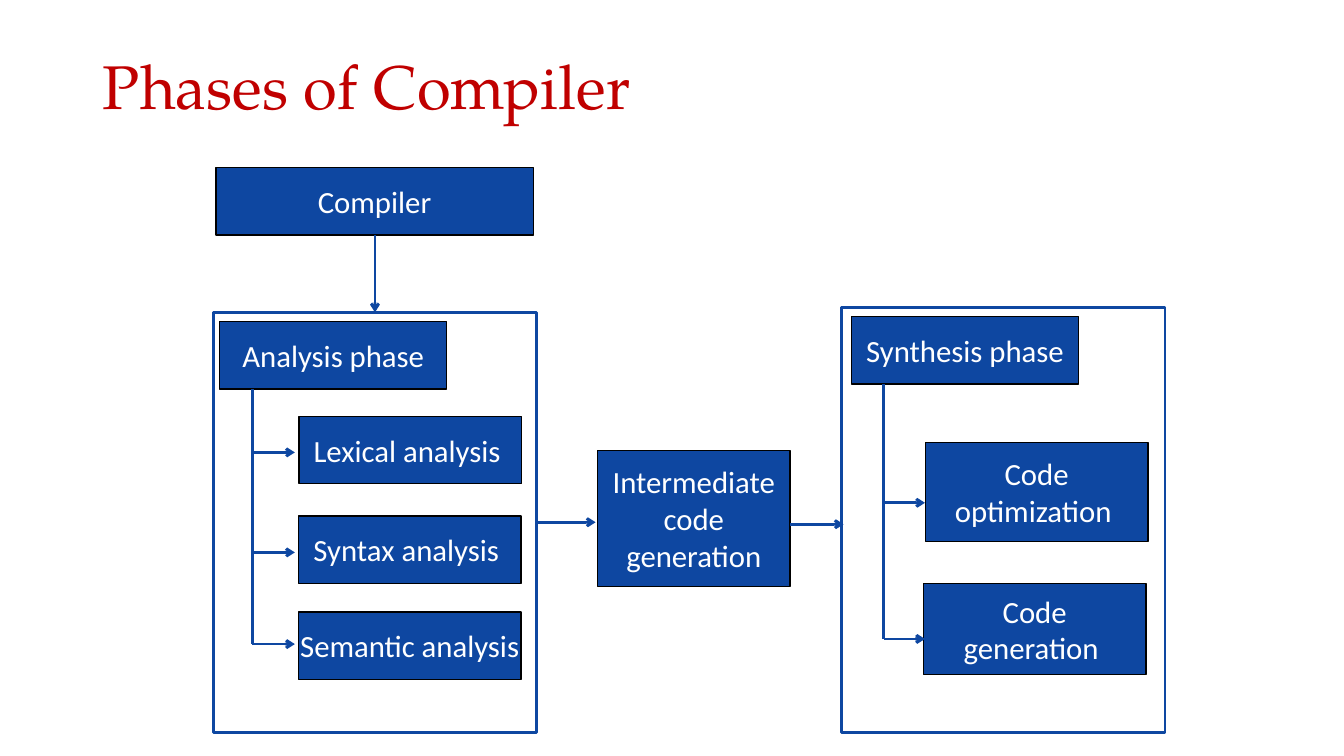
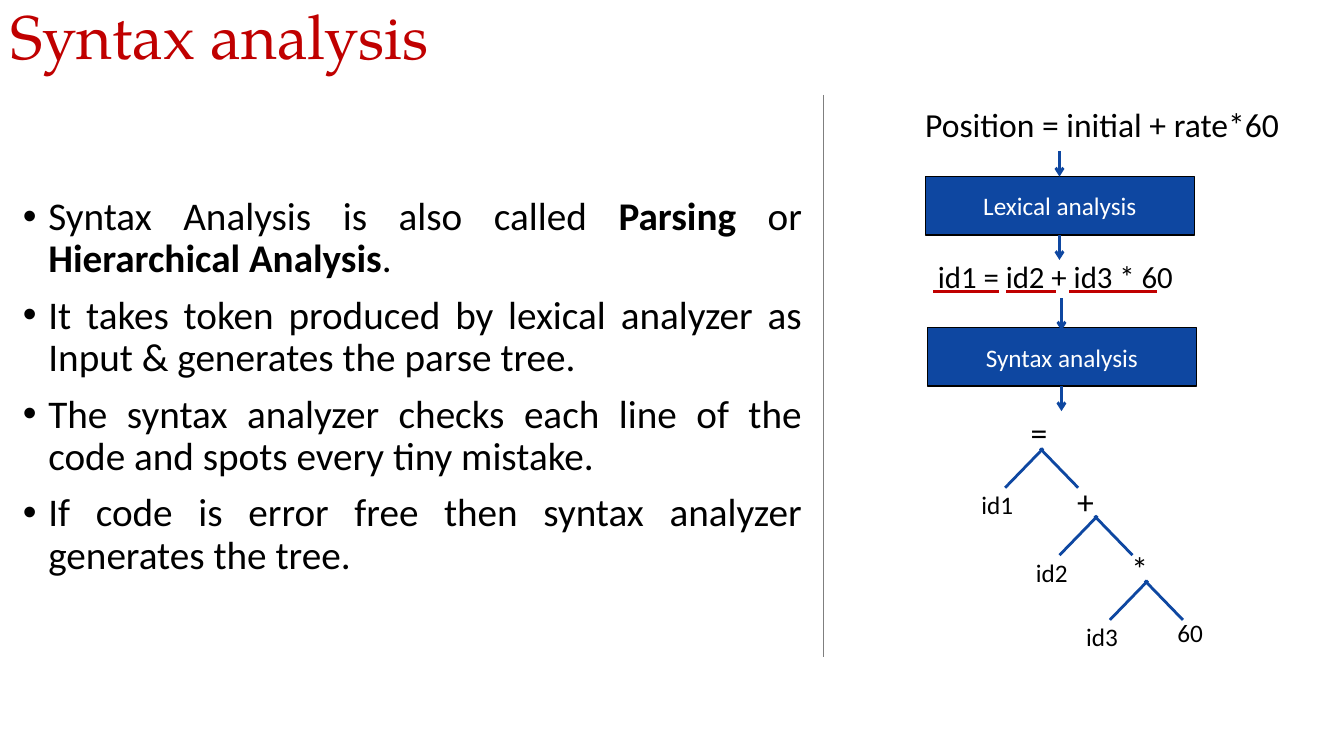
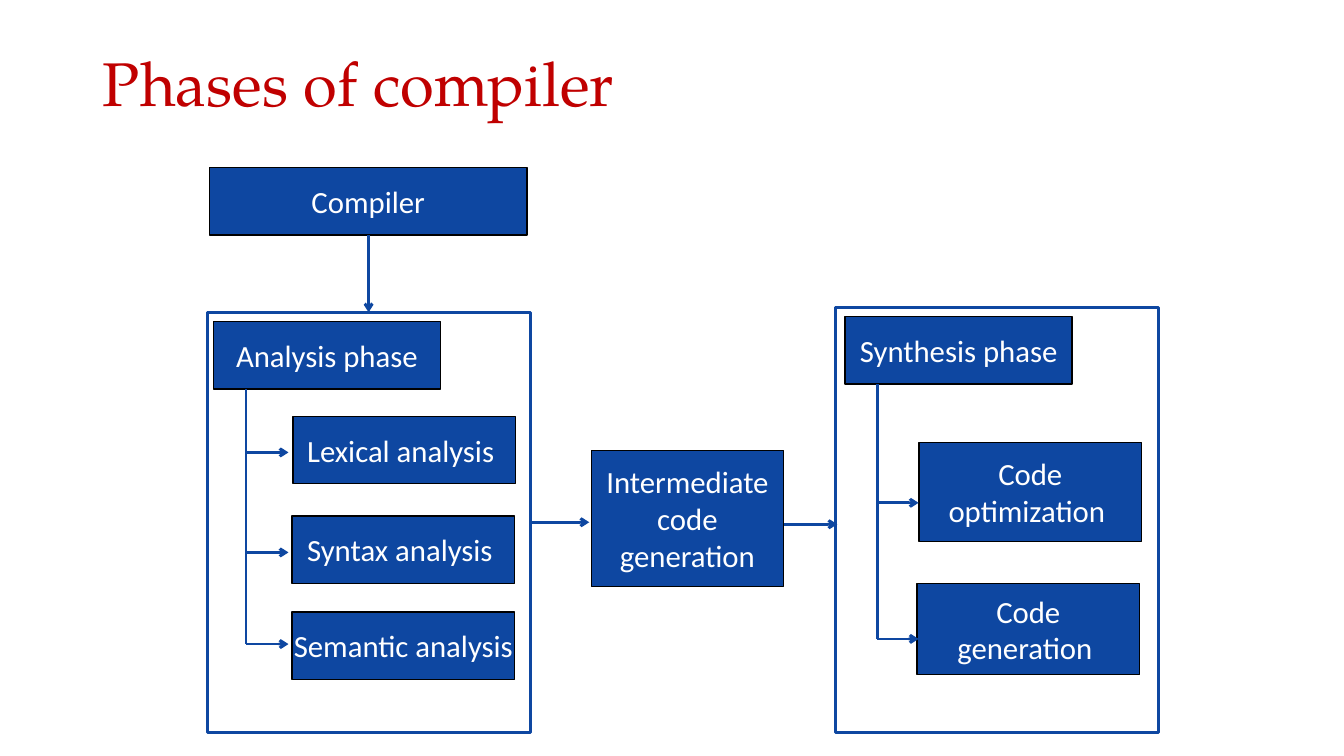
from lxml.etree import SubElement
from pptx import Presentation
from pptx.dml.color import RGBColor
from pptx.enum.shapes import MSO_CONNECTOR, MSO_SHAPE
from pptx.enum.text import MSO_ANCHOR, MSO_AUTO_SIZE, PP_ALIGN
from pptx.oxml.ns import qn
from pptx.util import Cm, Pt

COLORS = {"blue": "0E47A1", "red": "C00000", "black": "000000",
          "white": "FFFFFF", "divider": "7F7F7F"}
TITLE_FONT, BODY_FONT = "TeX Gyre Pagella", "Calibri"

TITLES = [
    ("Phases of Compiler", (2.34, 1.02, 29.21, 2.46)),
    ("Syntax analysis", (0, 0, 33.87, 1.98)),
    ("Phases of compiler", (2.34, 1.02, 29.21, 2.31)),
]

PHASE_SHIFTS = {0: 0, 2: -0.16}
PHASE_BOXES = [
    ("Compiler", (5.44, 4.22, 8, 1.7)),
    ("Analysis phase", (5.54, 8.1, 5.72, 1.7)),
    ("Synthesis phase", (21.46, 7.98, 5.72, 1.7)),
    ("Lexical analysis ", (7.54, 10.49, 5.61, 1.7)),
    ("Syntax analysis ", (7.52, 13, 5.61, 1.7)),
    ("Semantic analysis ", (7.52, 15.42, 5.61, 1.7)),
    ("Intermediate code generation", (15.06, 11.35, 4.85, 3.43)),
    ("Code optimization ", (23.32, 11.15, 5.61, 2.49)),
    ("Code generation ", (23.27, 14.71, 5.61, 2.29)),
]
TIGHT_BOXES = {"Semantic analysis "}
PHASE_FRAMES = [(5.38, 7.87, 8.15, 10.59), (21.21, 7.75, 8.15, 10.72)]
PHASE_TRUNKS = [
    (6.36, 9.8, 7.43, [11.4, 13.92, 16.23]),
    (22.27, 9.68, 23.31, [12.67, 16.1]),
]
PHASE_ARROWS = [
    (9.45, 5.92, 9.45, 7.87),
    (13.51, 13.16, 15.01, 13.16),
    (19.91, 13.21, 21.26, 13.21),
]

BULLETS = [
    [("Syntax Analysis is also called ", False), ("Parsing ", True), ("or ", False),
     ("Hierarchical Analysis", True), (".", False)],
    [("It takes token produced by lexical analyzer as Input & generates the parse tree.", False)],
    [("The syntax analyzer checks each line of the code and spots every tiny mistake.", False)],
    [("If code is error free then syntax analyzer generates the tree.", False)],
]
STEP_BOXES = [
    ("Lexical analysis", (23.32, 4.45, 6.78, 1.47)),
    ("Syntax analysis", (23.37, 8.26, 6.78, 1.47)),
]
STEP_ARROWS = [(26.7, 3.81, 4.45), (26.7, 5.92, 6.55),
               (26.75, 7.52, 8.33), (26.75, 9.73, 10.36)]
STEP_TEXTS = [
    ("Position = initial + rate*60", (22.53, 2.6, 10.49, 1.2), 24, 0.9),
    ("id1 = id2 + id3 * 60", (22.89, 6.31, 7.42, 1.19), 22, 1.14),
]
TOKEN_UNDERLINES = [(23.52, 25.17), (25.35, 26.62), (26.95, 29.16)]
UNDERLINE_TOP = 7.34
TREE_ROOT = ("=", (25.22, 10.36))
TREE_NODES = [
    ((26.25, 11.3), "id1", "+"),
    ((27.62, 13), "id2", "*"),
    ((28.89, 14.63), "id3", "60"),
]


def color(name):
    return RGBColor.from_string(COLORS[name])


def apply(target, values):
    for name, value in values.items():
        setattr(target, name, value)


def set_frame(frame, inset=None):
    values = {"word_wrap": True, "auto_size": MSO_AUTO_SIZE.NONE,
              "vertical_anchor": MSO_ANCHOR.MIDDLE}
    if inset is not None:
        sides = ("left", "top", "right", "bottom")
        values.update({f"margin_{side}": Cm(inset) for side in sides})
    apply(frame, values)


def add_span(para, text, size, tint, font=BODY_FONT, bold=False):
    span = para.add_run()
    span.text = text
    apply(span.font, {"name": font, "size": Pt(size), "bold": bold})
    span.font.color.rgb = color(tint)


def write(frame, text, size, tint, spacing=1.0, inset=None):
    set_frame(frame, inset)
    para = frame.paragraphs[0]
    apply(para, {"alignment": PP_ALIGN.CENTER, "line_spacing": spacing})
    add_span(para, text, size, tint)


def add_page(deck, text, place):
    page = deck.slides.add_slide(deck.slide_layouts[5])
    title = page.shapes.title
    apply(title, dict(zip(("left", "top", "width", "height"), map(Cm, place))))
    set_frame(title.text_frame)
    para = title.text_frame.paragraphs[0]
    apply(para, {"alignment": PP_ALIGN.LEFT, "line_spacing": 0.9})
    add_span(para, text, 44, "red", TITLE_FONT)
    return page


def add_rectangle(page, place, fill, line, width):
    box = page.shapes.add_shape(MSO_SHAPE.RECTANGLE, *map(Cm, place))
    box.shadow.inherit = False
    if fill:
        box.fill.solid()
        box.fill.fore_color.rgb = color(fill)
    else:
        box.fill.background()
    box.line.color.rgb = color(line)
    box.line.width = Pt(width)
    return box


def add_box(page, text, place, size, inset=None):
    box = add_rectangle(page, place, "blue", "black", 1)
    write(box.text_frame, text, size, "white", inset=inset)


def add_text(page, text, place, size, spacing=1.0, inset=None):
    box = page.shapes.add_textbox(*map(Cm, place))
    write(box.text_frame, text, size, "black", spacing, inset)


def add_line(page, ends, tint="blue", width=2, arrow=False):
    line = page.shapes.add_connector(MSO_CONNECTOR.STRAIGHT, *map(Cm, ends))
    line.line.color.rgb = color(tint)
    line.line.width = Pt(width)
    if arrow:
        SubElement(line.line._get_or_add_ln(), qn("a:tailEnd"), type="arrow")
    SubElement(line._element.spPr, qn("a:effectLst"))


def draw_phases(page, shift):
    def moved(place):
        return (place[0] + shift, *place[1:])

    for text, place in PHASE_BOXES:
        add_box(page, text, moved(place), 22, 0 if text in TIGHT_BOXES else None)
    for place in PHASE_FRAMES:
        add_rectangle(page, moved(place), None, "blue", 2)
    for left, top, right, branches in PHASE_TRUNKS:
        start, end = left + shift, right + shift
        add_line(page, (start, top, start, branches[-1]))
        for level in branches:
            add_line(page, (start, level, end, level), arrow=True)
    for x1, y1, x2, y2 in PHASE_ARROWS:
        add_line(page, (x1 + shift, y1, x2 + shift, y2), arrow=True)


def draw_bullets(page):
    box = page.shapes.add_textbox(Cm(0.58), Cm(3.35), Cm(19.63), Cm(12.81))
    frame = box.text_frame
    set_frame(frame, 0)
    for index, spans in enumerate(BULLETS):
        para = frame.add_paragraph() if index else frame.paragraphs[0]
        layout = para._p.get_or_add_pPr()
        layout.set("marL", str(Cm(0.64)))
        layout.set("indent", str(Cm(-0.64)))
        SubElement(layout, qn("a:buFont"), typeface="Arial")
        SubElement(layout, qn("a:buChar"), char="•")
        apply(para, {"alignment": PP_ALIGN.JUSTIFY, "line_spacing": 0.9,
                     "space_before": Pt(10 if index else 0)})
        for text, bold in spans:
            add_span(para, text, 28, "black", bold=bold)


def draw_tree(page):
    def add_label(text, left, top):
        size = 18 if text.isalnum() else 24
        add_text(page, text, (left, top, 1.93, 1.07), size)

    root, place = TREE_ROOT
    add_label(root, *place)
    for (x, y), left_text, right_text in TREE_NODES:
        for side in (-1, 1):
            add_line(page, (x - side * 0.04, y, x + side * 0.92, y + 0.99))
        add_label(left_text, x - 2.08, y + 0.88)
        add_label(right_text, x + 0.14, y + 0.78)


def draw_syntax(page):
    draw_bullets(page)
    add_line(page, (20.75, 2.39, 20.75, 16.56), "divider", 0.5)
    for text, place in STEP_BOXES:
        add_box(page, text, place, 18)
    for x, top, bottom in STEP_ARROWS:
        add_line(page, (x, top, x, bottom), arrow=True)
    for text, place, size, spacing in STEP_TEXTS:
        add_text(page, text, place, size, spacing, 0)
    for start, end in TOKEN_UNDERLINES:
        add_line(page, (start, UNDERLINE_TOP, end, UNDERLINE_TOP), "red")
    draw_tree(page)


def main():
    deck = Presentation()
    apply(deck, {"slide_width": Cm(33.87), "slide_height": Cm(19.05)})
    for index, (text, place) in enumerate(TITLES):
        page = add_page(deck, text, place)
        if index in PHASE_SHIFTS:
            draw_phases(page, PHASE_SHIFTS[index])
        else:
            draw_syntax(page)
    deck.save("out.pptx")


if __name__ == "__main__":
    main()
